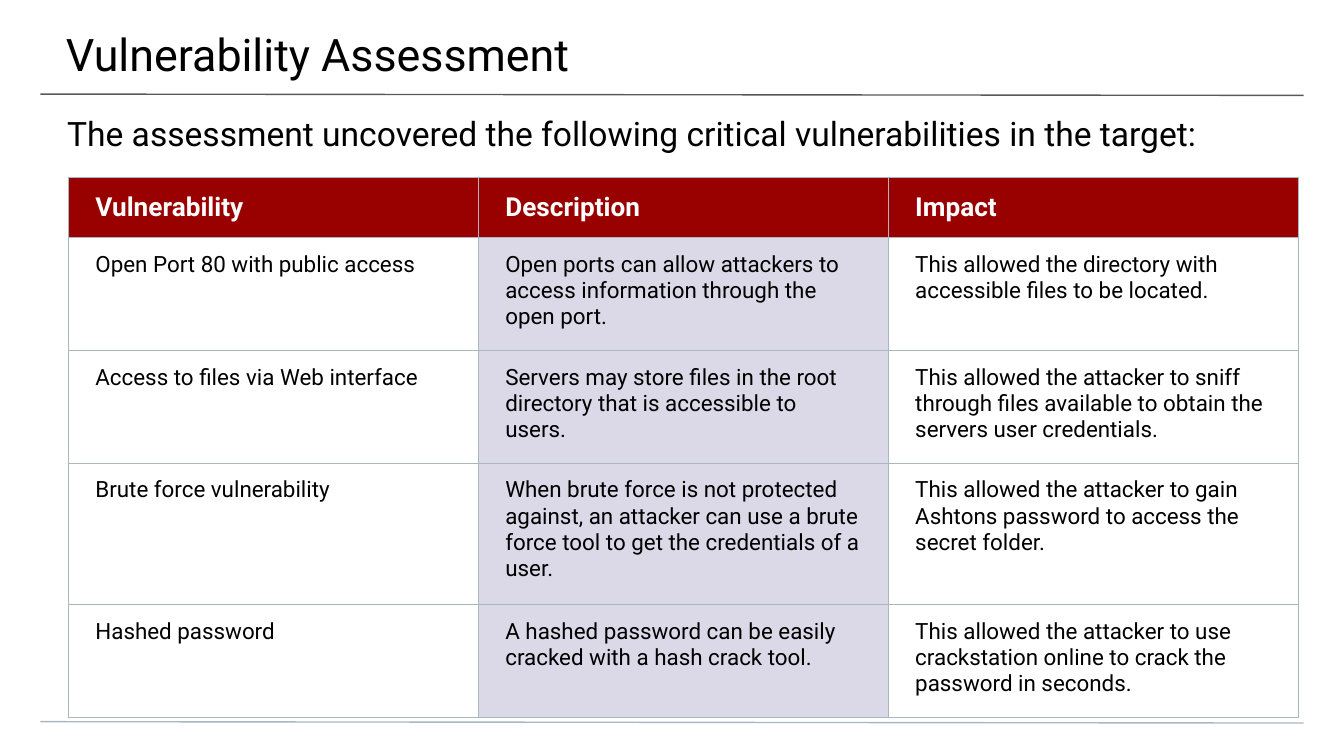
from dataclasses import dataclass

from lxml import etree
from pptx import Presentation
from pptx.dml.color import RGBColor
from pptx.enum import shapes, text
from pptx.oxml import ns
from pptx.util import Inches, Pt


@dataclass(frozen=True)
class Theme:
    font: str = "Roboto"
    ink: str = "000000"
    paper: str = "FFFFFF"
    header: str = "990000"
    tint: str = "DBD9E8"
    border: str = "A9B7C0"
    title_rule: str = "595959"
    title_pt: int = 24
    intro_pt: int = 18
    header_pt: int = 14
    body_pt: int = 12
    line_pt: float = 0.75


@dataclass(frozen=True)
class Rule:
    y: float
    color: str


@dataclass(frozen=True)
class Finding:
    vulnerability: str
    description: str
    impact: str
    height: float = 0.84


THEME = Theme()
SLIDE_WIDTH = 10
SLIDE_HEIGHT = SLIDE_WIDTH * 9 / 16
RULES = [Rule(0.7, THEME.title_rule), Rule(5.37, THEME.border)]
HEADER = Finding("Vulnerability", "Description", "Impact", 0.45)
FINDINGS = [
    Finding("Open Port 80 with public access",
            "Open ports can allow attackers to access information through the open port.",
            "This allowed the directory with accessible files to be located."),
    Finding("Access to files via Web interface",
            "Servers may store files in the root directory that is accessible to users.",
            "This allowed the attacker to sniff through files available to obtain the "
            "servers user credentials."),
    Finding("Brute force vulnerability",
            "When brute force is not protected against, an attacker can use a brute force "
            "tool to get the credentials of a user.",
            "This allowed the attacker to gain Ashtons password to access the secret folder.",
            1.05),
    Finding("Hashed password",
            "A hashed password can be easily cracked with a hash crack tool.",
            "This allowed the attacker to use crackstation online to crack the password "
            "in seconds."),
]
COLUMN_WIDTH = 3.05


def set_attributes(target, **values) -> None:
    for name, value in values.items():
        setattr(target, name, value)


def write(tf, content: str, size: int, color: str, bold: bool = False) -> None:
    p = tf.paragraphs[0]
    p.alignment = text.PP_ALIGN.LEFT
    r = p.add_run()
    r.text = content
    set_attributes(r.font, name=THEME.font, size=Pt(size), bold=bold)
    r.font.color.rgb = RGBColor.from_string(color)


def format_box(sp, box: tuple, insets: tuple, content: str, size: int) -> None:
    """Place a text shape; insets run left, top, right, bottom."""
    set_attributes(sp, **dict(zip(("left", "top", "width", "height"), map(Inches, box))))
    tf = sp.text_frame
    names = ("margin_left", "margin_top", "margin_right", "margin_bottom")
    set_attributes(tf, **dict(zip(names, map(Inches, insets))), word_wrap=True,
                   auto_size=text.MSO_AUTO_SIZE.NONE,
                   vertical_anchor=text.MSO_ANCHOR.TOP)
    write(tf, content, size, THEME.ink)


def draw_rule(s, rule: Rule) -> None:
    line = s.shapes.add_connector(shapes.MSO_CONNECTOR.STRAIGHT, Inches(0.3),
                                  Inches(rule.y), Inches(9.7), Inches(rule.y + 0.01))
    line.line.color.rgb = RGBColor.from_string(rule.color)
    line.line.width = Pt(THEME.line_pt)
    etree.SubElement(line._element.spPr, ns.qn("a:effectLst"))


def add_borders(cell) -> None:
    """Outline all four sides; border elements must precede the cell fill."""
    tc_pr = cell._tc.get_or_add_tcPr()
    for i, side in enumerate(("lnL", "lnR", "lnT", "lnB")):
        ln = etree.Element(ns.qn(f"a:{side}"), w=str(Pt(THEME.line_pt)))
        fill = etree.SubElement(ln, ns.qn("a:solidFill"))
        etree.SubElement(fill, ns.qn("a:srgbClr"), val=THEME.border)
        tc_pr.insert(i, ln)


def format_cell(cell, content: str, is_header: bool, tinted: bool) -> None:
    set_attributes(cell, margin_left=Inches(0.2), margin_right=Inches(0.2),
                   margin_top=Inches(0.1), margin_bottom=Inches(0.1),
                   vertical_anchor=text.MSO_ANCHOR.MIDDLE if is_header
                   else text.MSO_ANCHOR.TOP)
    if is_header or tinted:
        cell.fill.solid()
        cell.fill.fore_color.rgb = RGBColor.from_string(
            THEME.header if is_header else THEME.tint)
    else:
        cell.fill.background()
    write(cell.text_frame, content,
          THEME.header_pt if is_header else THEME.body_pt,
          THEME.paper if is_header else THEME.ink, is_header)
    add_borders(cell)


def draw_findings(s, findings: list[Finding]) -> None:
    rows = [HEADER, *findings]
    table = s.shapes.add_table(len(rows), 3, Inches(0.51), Inches(1.32),
                               Inches(3 * COLUMN_WIDTH),
                               Inches(sum(row.height for row in rows))).table
    set_attributes(table, first_row=False, horz_banding=False)
    for column in table.columns:
        column.width = Inches(COLUMN_WIDTH)
    for i, row in enumerate(rows):
        table.rows[i].height = Inches(row.height)
        for j, content in enumerate((row.vulnerability, row.description, row.impact)):
            format_cell(table.cell(i, j), content, is_header=i == 0, tinted=j == 1)


def main() -> None:
    prs = Presentation()
    set_attributes(prs, slide_width=Inches(SLIDE_WIDTH),
                   slide_height=Inches(SLIDE_HEIGHT))
    s = prs.slides.add_slide(prs.slide_layouts[5])
    for rule in RULES:
        draw_rule(s, rule)
    format_box(s.shapes.title, (-0.01, 0, 10.03, 0.58), (0.5, 0.2, 0.3, 0.1),
               "Vulnerability Assessment", THEME.title_pt)
    intro = s.shapes.add_textbox(0, 0, Inches(1), Inches(1))
    format_box(intro, (0, 0.74, 10, 0.4), (0.5, 0.1, 0.5, 0),
               "The assessment uncovered the following critical vulnerabilities "
               "in the target:", THEME.intro_pt)
    draw_findings(s, FINDINGS)
    prs.save("out.pptx")


if __name__ == "__main__":
    main()
